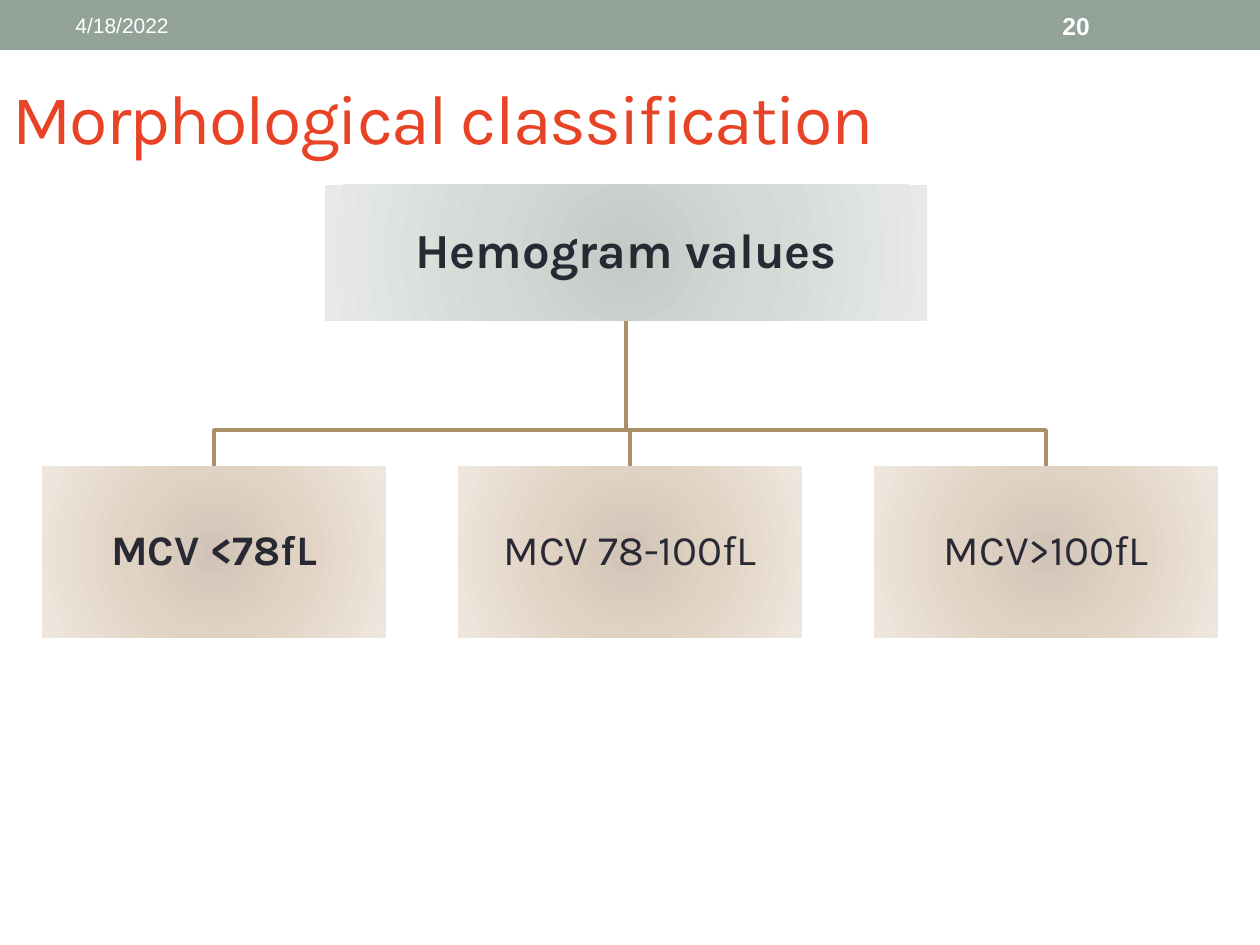
from dataclasses import dataclass

from lxml.etree import SubElement
from pptx import Presentation
from pptx.dml.color import RGBColor
from pptx.enum.shapes import MSO_SHAPE
from pptx.enum.text import MSO_ANCHOR, PP_ALIGN
from pptx.oxml import parse_xml
from pptx.oxml.ns import nsdecls, qn
from pptx.util import Emu, Pt

EMU_PER_PX = 914400 / 126


def px(length):
    return Emu(round(length * EMU_PER_PX))


@dataclass(frozen=True)
class Theme:
    band: str = "93A299"
    title: str = "E84326"
    ink: str = "292934"
    light: str = "FFFFFF"
    branch: str = "AD8F67"
    root_stops: tuple = ((0, "C4CAC6"), (45, "D3DAD6"), (100, "E7EAE8"))
    leaf_stops: tuple = ((0, "D1C4B6"), (45, "E1D3C4"), (100, "EFE7DF"))
    heading_font: str = "Karla"
    footer_font: str = "Arial"
    title_size: int = 40
    root_size: int = 28
    leaf_size: int = 24
    date_size: int = 12
    number_size: int = 14
    branch_width: float = 2.08


class SlideBuilder:
    def __init__(self, slide, theme):
        self.slide = slide
        self.theme = theme

    def add_label(self, shape, text, size, color, font, bold=False):
        frame = shape.text_frame
        frame.word_wrap = True
        frame.vertical_anchor = MSO_ANCHOR.MIDDLE
        run = frame.paragraphs[0].add_run()
        run.text = text
        run.font.name = font
        run.font.size = Pt(size)
        run.font.bold = bold
        run.font.color.rgb = RGBColor.from_string(color)
        return run

    def text(self, box, *style, **options):
        shape = self.slide.shapes.add_textbox(*map(px, box))
        return self.add_label(shape, *style, **options)

    def rectangle(self, box):
        shape = self.slide.shapes.add_shape(MSO_SHAPE.RECTANGLE, *map(px, box))
        shape.shadow.inherit = False
        shape.line.fill.background()
        return shape

    def band(self, box):
        shape = self.rectangle(box)
        shape.fill.solid()
        shape.fill.fore_color.rgb = RGBColor.from_string(self.theme.band)

    def node(self, box, text, size, stops, bold):
        shape = self.rectangle(box)
        # Radial gradient
        gradient = parse_xml(f'<a:gradFill {nsdecls("a")} rotWithShape="1"/>')
        stop_list = SubElement(gradient, qn("a:gsLst"))
        for position, color in stops:
            stop = SubElement(stop_list, qn("a:gs"), pos=str(position * 1000))
            SubElement(stop, qn("a:srgbClr"), val=color)
        circle = SubElement(gradient, qn("a:path"), {"path": "circle"})
        SubElement(circle, qn("a:fillToRect"), {side: "100000" for side in "ltrb"})
        shape.element.spPr.find(qn("a:prstGeom")).addnext(gradient)
        # Label
        frame = shape.text_frame
        frame.margin_left = frame.margin_right = px(2)
        frame.margin_top = frame.margin_bottom = px(2)
        self.add_label(shape, text, size, self.theme.ink, self.theme.heading_font, bold)
        paragraph = frame.paragraphs[0]
        paragraph.alignment = PP_ALIGN.CENTER
        paragraph.line_spacing = 0.9

    def branch(self, points):
        start, *rest = [(px(x), px(y)) for x, y in points]
        builder = self.slide.shapes.build_freeform(*start)
        builder.add_line_segments(rest, close=False)
        shape = builder.convert_to_shape()
        shape.shadow.inherit = False
        shape.fill.background()
        shape.line.color.rgb = RGBColor.from_string(self.theme.branch)
        shape.line.width = Pt(self.theme.branch_width)


def main():
    theme = Theme()
    presentation = Presentation()
    presentation.slide_width, presentation.slide_height = px(1260), px(945)
    slide = presentation.slides.add_slide(presentation.slide_layouts[6])
    builder = SlideBuilder(slide, theme)

    # Header band and title
    builder.band((0, 0, 1260, 50))
    title = builder.text((0, 38, 1134, 157), "Morphological classification",
                         theme.title_size, theme.title, theme.heading_font)
    title.font._element.set("spc", "-100")

    # Tree geometry
    root_x, root_y, root_width, root_height = root = (325, 185, 602, 136)
    leaf_x, leaf_y, leaf_width, leaf_height, leaf_step = 42, 466, 344, 172, 416
    root_center, root_bottom, bend_y = root_x + root_width // 2, root_y + root_height, 430
    leaves = [("MCV <78fL", True), ("MCV 78-100fL", False), ("MCV>100fL", False)]
    lefts = [leaf_x + index * leaf_step for index in range(len(leaves))]

    # Branches, right to left
    for left in reversed(lefts):
        center = left + leaf_width // 2
        builder.branch([(root_center, root_bottom), (root_center, bend_y),
                        (center, bend_y), (center, leaf_y)])

    # Nodes
    builder.node(root, "Hemogram values", theme.root_size, theme.root_stops, True)
    for left, (label, bold) in zip(lefts, leaves):
        builder.node((left, leaf_y, leaf_width, leaf_height), label,
                     theme.leaf_size, theme.leaf_stops, bold)

    # Date and slide number
    builder.text((63, 3, 399, 45), "4/18/2022",
                 theme.date_size, theme.light, theme.footer_font)
    builder.text((1050, 3, 147, 45), "20",
                 theme.number_size, theme.light, theme.footer_font, bold=True)

    presentation.save("out.pptx")


if __name__ == "__main__":
    main()
